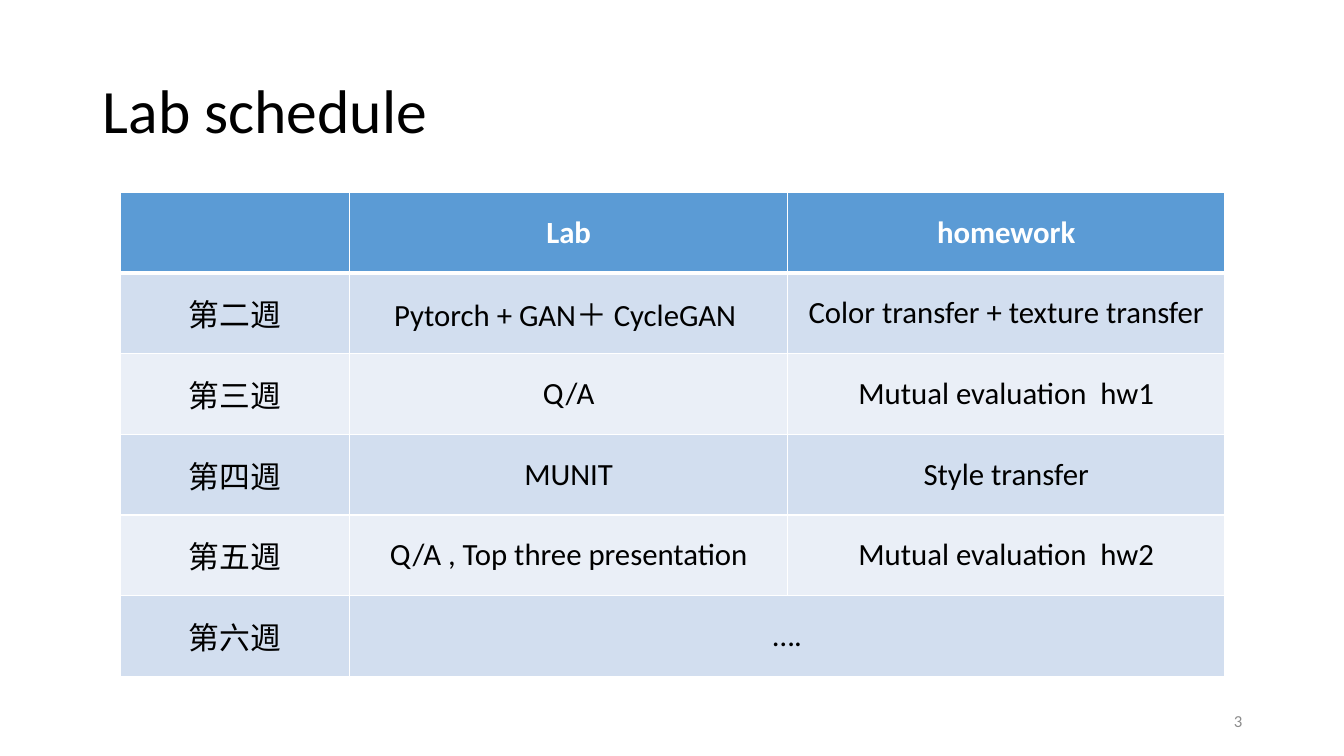
from dataclasses import dataclass

from lxml.etree import SubElement
from pptx import Presentation
from pptx.dml.color import RGBColor as RGB
from pptx.enum.text import MSO_ANCHOR as Anchor, PP_ALIGN as Align
from pptx.oxml.ns import qn
from pptx.slide import Slide
from pptx.table import _Cell as Cell
from pptx.text.text import TextFrame
from pptx.util import Inches, Pt


@dataclass(frozen=True)
class Theme:
    """Colours, font and type sizes of the slide."""
    font: str = "Calibri"
    ink: str = "000000"
    white: str = "FFFFFF"
    muted: str = "8C8C8C"
    header: str = "5B9BD5"
    bands: tuple[str, str] = ("D2DEEF", "EAEFF7")
    title_size: int = 44
    table_size: int = 22
    number_size: int = 12
    rule: int = 1
    header_rule: int = 3


@dataclass(frozen=True)
class Style:
    """Look of one line of text."""
    size: int
    color: str
    align: Align = Align.LEFT
    bold: bool = False
    spacing: float = 1.0


@dataclass(frozen=True)
class Label:
    """Text box with its place in inches."""
    text: str
    left: float
    top: float
    width: float
    height: float
    style: Style


@dataclass(frozen=True)
class Week:
    """One row of the schedule."""
    name: str
    lab: str
    homework: str


THEME = Theme()
LABELS = [
    Label("Lab schedule", 0.92, 0.4, 11.5, 1.45,
          Style(THEME.title_size, THEME.ink, spacing=0.9)),
    Label("3", 9.42, 6.95, 3, 0.4,
          Style(THEME.number_size, THEME.muted, Align.RIGHT)),
]
HEADER = Week("", "Lab", "homework")
WEEKS = [
    Week("第二週", "Pytorch + GAN＋ CycleGAN ", "Color transfer + texture transfer"),
    Week("第三週", "Q/A", "Mutual evaluation  hw1"),
    Week("第四週", "MUNIT", "Style transfer"),
    Week("第五週", "Q/A , Top three presentation", "Mutual evaluation  hw2"),
    Week("第六週", "….", ""),
]
COLUMNS = (2.28, 4.34, 4.34)
ROW_HEIGHT = 0.8


def write(tf: TextFrame, text: str, style: Style) -> None:
    """Write one styled run into a text frame."""
    p = tf.paragraphs[0]
    p.alignment = style.align
    p.line_spacing = style.spacing
    if not text:
        p.font.size = Pt(style.size)
        return
    r = p.add_run()
    r.text = text
    r.font.name = THEME.font
    r.font.size = Pt(style.size)
    r.font.bold = style.bold
    r.font.color.rgb = RGB.from_string(style.color)


def add_label(s: Slide, label: Label) -> None:
    """Place a text box on the slide."""
    box = (label.left, label.top, label.width, label.height)
    tf = s.shapes.add_textbox(*map(Inches, box)).text_frame
    tf.word_wrap = True
    tf.vertical_anchor = Anchor.MIDDLE
    write(tf, label.text, label.style)


def set_borders(cell: Cell, top: int, bottom: int) -> None:
    """Draw white rules on the four sides of a cell."""
    tc_pr = cell._tc.get_or_add_tcPr()
    sides = {"L": THEME.rule, "R": THEME.rule, "T": top, "B": bottom}
    for side, width in sides.items():
        ln = SubElement(tc_pr, qn(f"a:ln{side}"), w=str(Pt(width)))
        fill = SubElement(ln, qn("a:solidFill"))
        SubElement(fill, qn("a:srgbClr"), val=THEME.white)


def add_schedule(s: Slide, left: float, top: float) -> None:
    """Build the table of weeks."""
    rows = [HEADER, *WEEKS]
    frame = s.shapes.add_table(len(rows), len(COLUMNS), Inches(left), Inches(top),
                               Inches(sum(COLUMNS)), Inches(ROW_HEIGHT * len(rows)))
    table = frame.table
    for column, width in zip(table.columns, COLUMNS):
        column.width = Inches(width)
    for i, week in enumerate(rows):
        table.rows[i].height = Inches(ROW_HEIGHT)
        is_header = i == 0
        color = THEME.white if is_header else THEME.ink
        style = Style(THEME.table_size, color, Align.CENTER, is_header)
        fill = THEME.header if is_header else THEME.bands[(i - 1) % 2]
        for j, text in enumerate((week.name, week.lab, week.homework)):
            cell = table.cell(i, j)
            set_borders(cell, THEME.header_rule if i == 1 else THEME.rule,
                        THEME.header_rule if is_header else THEME.rule)
            cell.fill.solid()
            cell.fill.fore_color.rgb = RGB.from_string(fill)
            cell.vertical_anchor = Anchor.MIDDLE
            write(cell.text_frame, text, style)
    last = len(rows) - 1
    table.cell(last, 1).merge(table.cell(last, 2))


def main() -> None:
    """Build and save the slide."""
    prs = Presentation()
    prs.slide_width, prs.slide_height = Inches(13.33), Inches(7.5)
    s = prs.slides.add_slide(prs.slide_layouts[6])
    for label in LABELS:
        add_label(s, label)
    add_schedule(s, 1.19, 1.91)
    prs.save("out.pptx")


if __name__ == "__main__":
    main()
